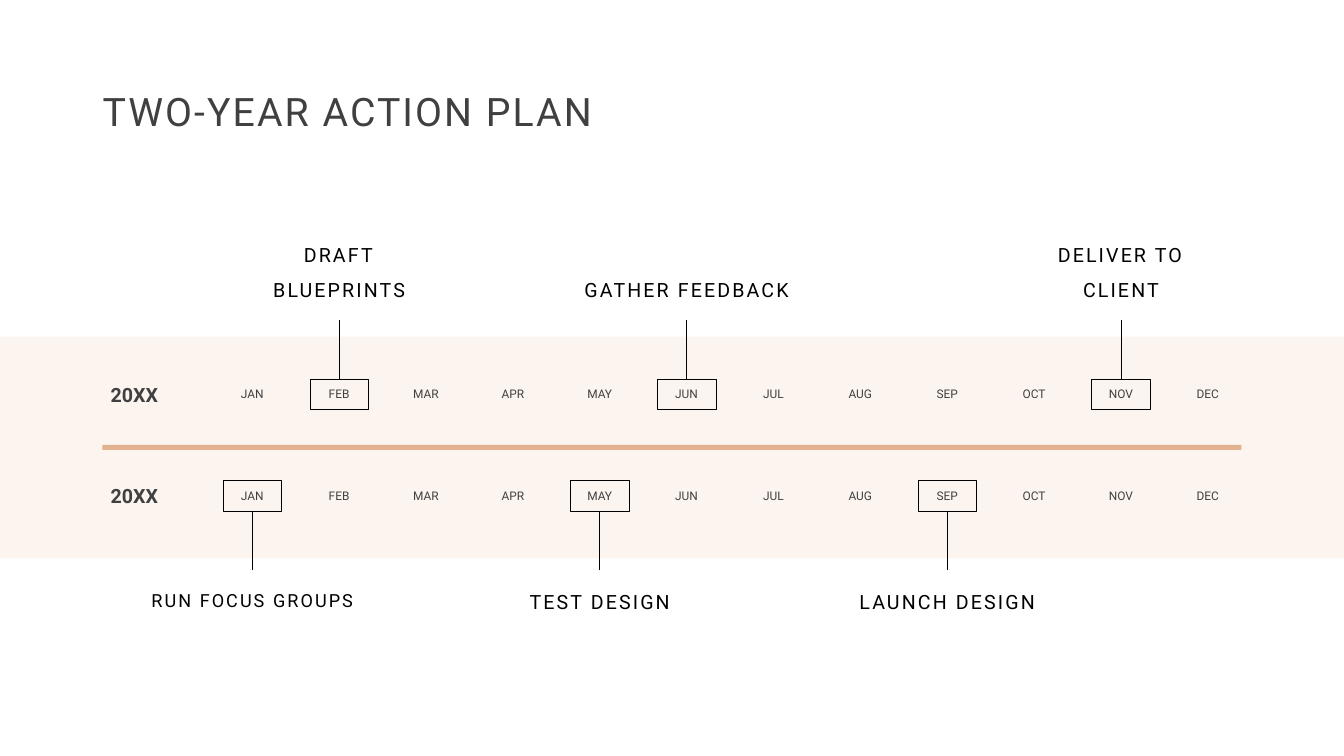
from lxml.etree import SubElement
from pptx import Presentation
from pptx.dml.color import RGBColor
from pptx.enum.shapes import MSO_CONNECTOR, MSO_SHAPE
from pptx.enum.text import MSO_ANCHOR, MSO_AUTO_SIZE, PP_ALIGN
from pptx.oxml.ns import qn
from pptx.util import Pt

FONT = "Roboto"
INK, BLACK, SAND, CREAM = "404040", "000000", "E2B18D", "FBF4EF"

MONTHS = "JAN FEB MAR APR MAY JUN JUL AUG SEP OCT NOV DEC".split()
JAN_X, MONTH_STEP = 180.2, 62.05
BOX_W, BOX_H = 41.8, 21.6
MONTH_W, MONTH_H = 50.4, 15.8
LABEL_W, LABEL_H = 162, 44
STEM = 42

# Year, top of the month boxes, labels above the row?, {month: (label, size)}
YEARS = [
    ("20XX", 270.7, True, {"FEB": ("DRAFT BLUEPRINTS", 14),
                           "JUN": ("GATHER FEEDBACK", 14),
                           "NOV": ("DELIVER TO CLIENT", 14)}),
    ("20XX", 343.4, False, {"JAN": ("RUN FOCUS GROUPS", 12.9),
                            "MAY": ("TEST DESIGN", 14),
                            "SEP": ("LAUNCH DESIGN", 14)}),
]


def rgb(value):
    return RGBColor.from_string(value)


class SlideBuilder:
    def __init__(self, slide, font):
        self.slide = slide
        self.font = font

    def set_text(self, sp, text, size, color=INK, bold=False, align=PP_ALIGN.LEFT,
                 anchor=MSO_ANCHOR.MIDDLE, leading=0.9, tracking=0):
        """Fill a shape with one styled paragraph; tracking is in points."""
        tf = sp.text_frame
        tf.word_wrap = True
        tf.auto_size = MSO_AUTO_SIZE.NONE
        tf.vertical_anchor = anchor
        p = tf.paragraphs[0]
        p.text = text
        p.alignment = align
        p.line_spacing = leading
        p.space_before = Pt(0)
        f = p.font
        f.name, f.size, f.bold = self.font, Pt(size), bold
        f.color.rgb = rgb(color)
        if tracking:
            p.runs[0].font._element.set("spc", str(int(tracking * 100)))

    def title(self, text, x, y, w, h):
        sp = self.slide.shapes.title
        sp.left, sp.top, sp.width, sp.height = Pt(x), Pt(y), Pt(w), Pt(h)
        self.set_text(sp, text, 28, tracking=1.5)

    def text(self, text, x, y, w, h, size, **style):
        sp = self.slide.shapes.add_textbox(Pt(x), Pt(y), Pt(w), Pt(h))
        self.set_text(sp, text, size, **style)

    def rect(self, x, y, w, h, fill=None, line=None):
        sp = self.slide.shapes.add_shape(MSO_SHAPE.RECTANGLE, Pt(x), Pt(y), Pt(w), Pt(h))
        sp.shadow.inherit = False
        if fill:
            sp.fill.solid()
            sp.fill.fore_color.rgb = rgb(fill)
        else:
            sp.fill.background()
        if line:
            sp.line.color.rgb = rgb(line)
            sp.line.width = Pt(0.5)
        else:
            sp.line.fill.background()

    def stem(self, x, top, bottom):
        line = self.slide.shapes.add_connector(
            MSO_CONNECTOR.STRAIGHT, Pt(x), Pt(top), Pt(x), Pt(bottom))
        line.line.color.rgb = rgb(BLACK)
        line.line.width = Pt(0.5)
        SubElement(line._element.spPr, qn("a:effectLst"))

    def milestone(self, label, size, x, box_top, above):
        """Box a month and tie it to a label above or below the row."""
        self.rect(x - BOX_W / 2, box_top, BOX_W, BOX_H, line=BLACK)
        if above:
            self.stem(x, box_top - STEM, box_top)
            label_top, anchor = box_top - 51.7 - LABEL_H, MSO_ANCHOR.BOTTOM
        else:
            bottom = box_top + BOX_H
            self.stem(x, bottom, bottom + STEM)
            label_top, anchor = bottom + 44.7, MSO_ANCHOR.TOP
        self.text(label, x - LABEL_W / 2, label_top, LABEL_W, LABEL_H, size,
                  color=BLACK, align=PP_ALIGN.CENTER, anchor=anchor,
                  leading=1.5, tracking=1.5)

    def year(self, name, box_top, above, milestones):
        self.text(name, 72, box_top - 6, 57.6, 36, 14, bold=True)
        for i, month in enumerate(MONTHS):
            x = JAN_X + i * MONTH_STEP
            self.text(month, x - MONTH_W / 2, box_top + 5, MONTH_W, MONTH_H, 8.5,
                      align=PP_ALIGN.CENTER, anchor=MSO_ANCHOR.TOP, leading=0.7)
            if month in milestones:
                self.milestone(*milestones[month], x, box_top, above)


def main():
    prs = Presentation()
    prs.slide_width, prs.slide_height = Pt(960), Pt(540)
    s = SlideBuilder(prs.slides.add_slide(prs.slide_layouts[5]), FONT)
    s.rect(0, 240.5, 960, 158.4, fill=CREAM)
    s.rect(73.2, 317.7, 813.6, 3.6, fill=SAND)
    s.title("TWO-YEAR ACTION PLAN", 66.2, 28.8, 828, 104.4)
    for year in YEARS:
        s.year(*year)
    prs.save("out.pptx")


if __name__ == "__main__":
    main()
